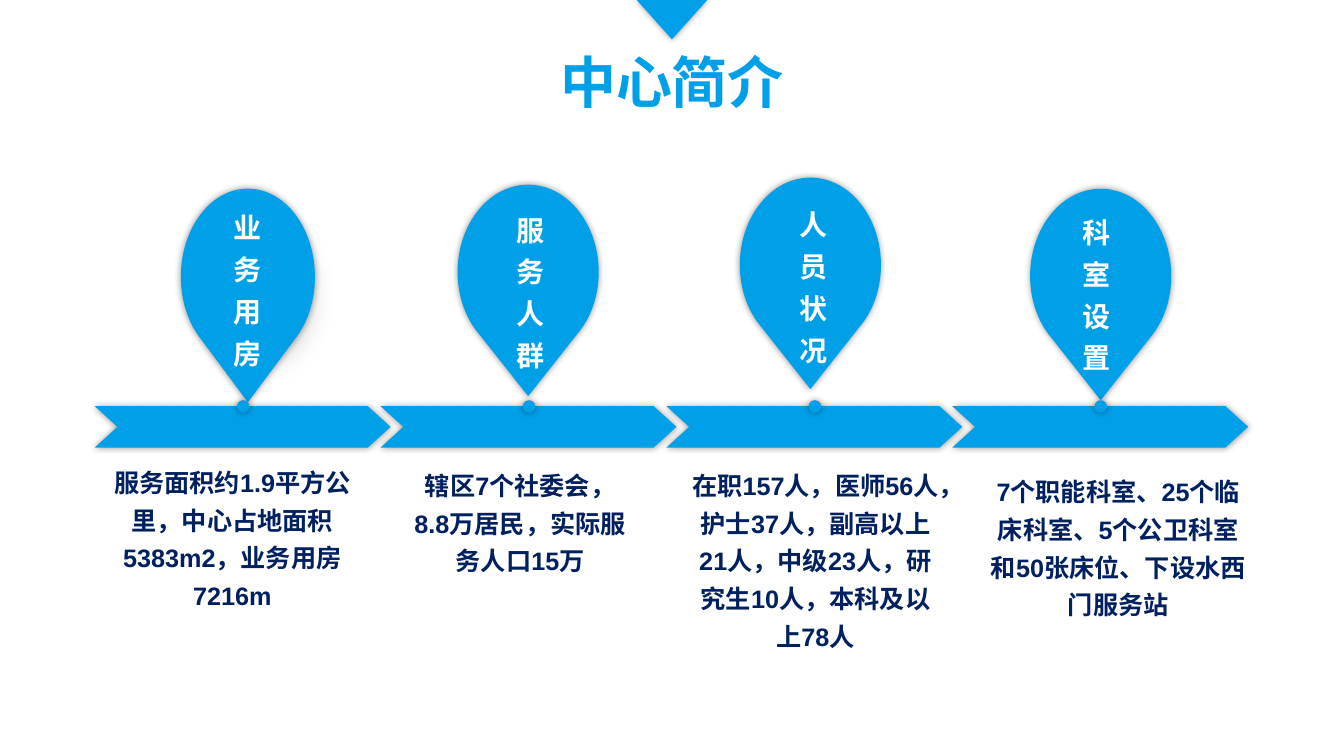
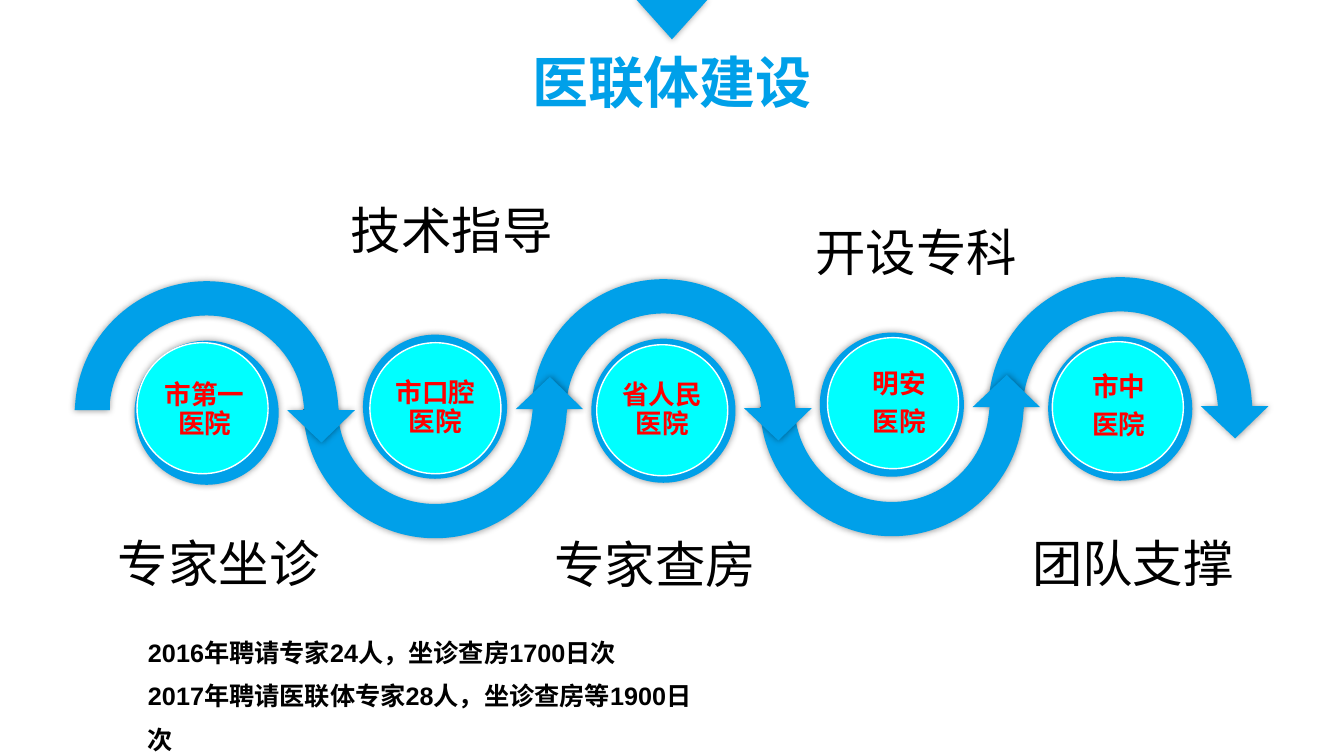
from dataclasses import dataclass
from itertools import chain

from lxml.etree import SubElement
from pptx import Presentation
from pptx.dml.color import RGBColor
from pptx.enum.shapes import MSO_SHAPE as Preset
from pptx.enum.text import MSO_ANCHOR as Anchor, PP_ALIGN as Align
from pptx.oxml.ns import qn
from pptx.util import Inches, Pt

SLIDE_H = Inches(7.5)
SLIDE_W = SLIDE_H * 16 // 9
ROWS = 75
CELL = SLIDE_H / ROWS  # square grid cell; all lengths below count cells
CENTRE = SLIDE_W / CELL / 2


@dataclass(frozen=True)
class Theme:
    """Colours, fonts and type sizes of the deck."""
    blue: str = "00A0E9"
    navy: str = "002060"
    cyan: str = "00FFFF"
    red: str = "FF0000"
    black: str = "000000"
    white: str = "FFFFFF"
    shade: str = "0D0D0D"
    teal: str = "19BAA9"
    cjk: str = "Noto Sans CJK SC"
    title_font: str = "Noto Sans CJK JP"
    body_font: str = "Arial"
    disc_font: str = "Calibri"
    title_size: int = 40
    caption_size: int = 36
    pin_size: int = 20
    disc_size: int = 19
    body_size: int = 18


THEME = Theme()
TITLE = dict(size=THEME.title_size, name=THEME.title_font, bold=True, color=THEME.blue)
PIN_LABEL = dict(size=THEME.pin_size, name=THEME.cjk, bold=True, color=THEME.white)
FACT = dict(size=THEME.body_size, name=THEME.body_font, bold=True, color=THEME.navy)
SUMMARY = dict(FACT, color=THEME.black)
CAPTION = dict(size=THEME.caption_size, name=THEME.cjk, bold=False, color=THEME.black)
HOSPITAL = dict(size=THEME.disc_size, name=THEME.disc_font, bold=True, color=THEME.red)

GLOW = dict(color=THEME.black, alpha=40, blur=5, distance=0, angle=0)
CAST = dict(color=THEME.shade, alpha=20, blur=20, distance=15, angle=59)

# Outlines: a start point, then segments of one point (line) or three (curve)
PIN_START = (4.9, -18.5)
PIN = [
    [(2.2, -21.8), (-2.2, -21.8), (-4.9, -18.5)],
    [(-7.7, -15.1), (-7.7, -9.5), (-4.9, -6.2)],
    [(0, 0)],
    [(4.9, -6.2)],
    [(7.7, -9.5), (7.7, -15.1), PIN_START],
]
WAVE_START = (0, -12.8)
WAVE = [
    [(6.7, -12.8), (12.3, -7.7), (13, -1.1)],
    [(13.1, 0)], [(14.7, 0)], [(11.4, 3.2)], [(8, 0)], [(9.7, 0)], [(9.6, -0.8)],
    [(9.1, -5.6), (5, -9.4), (0, -9.4)],
    [(-5, -9.4), (-9.1, -5.6), (-9.6, -0.8)],
    [(-9.6, 0)], [(-13.1, 0)], [(-13, -1.1)],
    [(-12.3, -7.7), (-6.7, -12.8), WAVE_START],
]

# (tip x, tip y, width factor, height factor, label x, label y, label)
PINS = [
    (24.6, 39.9, 0.95, 1.01, 20.3, 20.1, "业务用房"),
    (52.4, 39.3, 1, 1, 48.3, 20.3, "服务人群"),
    (80.4, 38.6, 1, 1, 76.4, 19.8, "人员状况"),
    (109.2, 39.7, 1, 1, 104.5, 20.5, "科室设置"),
]
# (x, y, width, text)
FACTS = [
    (11.1, 45.6, 23.9, "服务面积约1.9平方公里，中心占地面积5383m2，业务用房7216m"),
    (40.7, 45.9, 21.8, "辖区7个社委会，8.8万居民，实际服务人口15万"),
    (68.4, 45.9, 25, "在职157人，医师56人，护士37人，副高以上21人，中级23人，"
                     "研究生10人，本科及以上78人"),
    (97.8, 46.5, 26.3, "7个职能科室、25个临床科室、5个公卫科室和50张床位、"
                       "下设水西门服务站"),
]
# (disc x, disc y, label x, label y, lines)
HOSPITALS = [
    (13.6, 34, 15.7, 36.1, ["市第一医院"]),
    (36.7, 34, 38.6, 35.9, ["市口腔医院"]),
    (59.2, 34.2, 61.1, 36.1, ["省人民医院"]),
    (82.1, 33.5, 84.6, 35.5, ["明安", "医院"]),
    (104.4, 33.9, 106.4, 35.8, ["市中", "医院"]),
]
# (x, y, text)
SERVICES = [
    (32.9, 19.3, "技术指导"),
    (53.1, 52.4, "专家查房"),
    (79, 21.4, "开设专科"),
    (9.8, 52.3, "专家坐诊"),
    (100.5, 52.3, "团队支撑"),
]
EXPERTS = ["2016年聘请专家24人，坐诊查房1700日次",
           "2017年聘请医联体专家28人，坐诊查房等1900日次"]


def cells(*lengths):
    """Turn grid cells into EMU."""
    return [round(length * CELL) for length in lengths]


def cast_shadow(shape, color, alpha, blur, distance, angle):
    """Give a shape a soft outer shadow."""
    effects = shape._element.spPr.find(qn("a:effectLst"))
    outer = SubElement(effects, qn("a:outerShdw"), blurRad=str(Pt(blur)),
                       dist=str(Pt(distance)), dir=str(angle * 60000),
                       algn="ctr", rotWithShape="0")
    tint = SubElement(outer, qn("a:srgbClr"), val=color)
    SubElement(tint, qn("a:alpha"), val=str(alpha * 1000))


def paint(shape, fill=THEME.blue, outline=None, weight=1, shadow=GLOW):
    """Set fill, outline and shadow of a shape."""
    shape.shadow.inherit = False
    shape.fill.solid()
    shape.fill.fore_color.rgb = RGBColor.from_string(fill)
    if outline:
        shape.line.color.rgb = RGBColor.from_string(outline)
        shape.line.width = Pt(weight)
    else:
        shape.line.fill.background()
    if shadow:
        cast_shadow(shape, **shadow)
    return shape


def add_preset(slide, preset, box, **look):
    """Add a painted preset shape in a box of cells."""
    return paint(slide.shapes.add_shape(preset, *cells(*box)), **look)


def add_outline(slide, start, segments, origin, scale):
    """Add a closed outline of lines and curves, scaled about its origin."""
    def place(point):
        return cells(*(o + p * s for o, p, s in zip(origin, point, scale)))
    builder = slide.shapes.build_freeform(*place(start), scale=1.0)
    builder.add_line_segments([place(p) for p in chain(*segments)], close=True)
    shape = builder.convert_to_shape()
    steps = iter(shape._element.findall(".//" + qn("a:lnTo")))
    for segment in segments:
        first, *others = [next(steps) for _ in segment]
        if others:
            first.tag = qn("a:cubicBezTo")
            for other in others:
                first.append(other[0])
                other.getparent().remove(other)
    return paint(shape)


def add_text(slide, box, lines, style, margins=(1, 0.5), anchor=Anchor.TOP, **spacing):
    """Add a wrapped text box with one paragraph per line."""
    frame = slide.shapes.add_textbox(*cells(*box)).text_frame
    side, edge = cells(*margins)
    layout = dict(word_wrap=True, vertical_anchor=anchor, margin_left=side,
                  margin_right=side, margin_top=edge, margin_bottom=edge)
    for key, value in layout.items():
        setattr(frame, key, value)
    frame.text = "\n".join(lines)
    for paragraph in frame.paragraphs:
        for key, value in {"alignment": Align.CENTER, **spacing}.items():
            setattr(paragraph, key, value)
        for run in paragraph.runs:
            style_run(run, style)


def style_run(run, style):
    """Apply a text style, with a Chinese face for Chinese glyphs."""
    for key in ("name", "bold"):
        setattr(run.font, key, style[key])
    run.font.size = Pt(style["size"])
    run.font.color.rgb = RGBColor.from_string(style["color"])
    face = style["name"] if style["name"] == THEME.title_font else THEME.cjk
    SubElement(run._r.get_or_add_rPr(), qn("a:ea"), typeface=face)


def new_slide(deck, title):
    """Add a blank slide with the top marker and the title."""
    slide = deck.slides.add_slide(deck.slide_layouts[6])
    marker = add_preset(slide, Preset.ISOSCELES_TRIANGLE, (CENTRE - 3.5, 0, 7, 3.9))
    marker.rotation = 180
    add_text(slide, (CENTRE - 30.15, 4.3, 60.3, 7.5), [title], TITLE, (0.7, 0.4))
    return slide


def build_profile(deck):
    """Four pins on a chevron band with facts below."""
    slide = new_slide(deck, "中心简介")
    step = 28.36
    add_preset(slide, Preset.OVAL, (19.8, 20.9, 9.7, 13),
               outline=THEME.teal, weight=2, shadow=CAST)
    for i, (tip_x, tip_y, wide, high, x, y, label) in enumerate(PINS):
        add_outline(slide, PIN_START, PIN, (tip_x, tip_y), (wide, high))
        band = add_preset(slide, Preset.CHEVRON, (9.4 + i * step, 40.3, 29.35, 4.1))
        band.adjustments[0] = 0.55
        add_preset(slide, Preset.OVAL, (23.5 + i * step, 39.7, 1.25, 1.25))
        add_text(slide, (x, y, 8.6, 16.8), label, PIN_LABEL, (0, 0), line_spacing=1.25)
    for x, y, width, fact in FACTS:
        add_text(slide, (x, y, width, 15.1), [fact], FACT, (0, 0), line_spacing=1.25)


def build_alliance(deck):
    """Hospitals along a wave of arrows, with the services they give."""
    slide = new_slide(deck, "医联体建设")
    first, step, ring, disc = 20.5, 22.66, 14.3, 13
    for i in reversed(range(len(HOSPITALS))):
        add_outline(slide, WAVE_START, WAVE, (first + i * step, 40.7 - 0.1 * i),
                    (1, -1 if i % 2 else 1))
    for i in range(len(HOSPITALS)):
        ring_y = 33.8 - 0.1 * i - 0.5 * (i % 2)
        add_preset(slide, Preset.OVAL, (first + i * step - ring / 2, ring_y, ring, ring))
    for x, y, service in SERVICES:
        add_text(slide, (x, y, 23.8, 7.1), [service], CAPTION)
    for x, y, label_x, label_y, name in HOSPITALS:
        add_preset(slide, Preset.OVAL, (x, y, disc, disc),
                   fill=THEME.cyan, outline=THEME.white, shadow=None)
        add_text(slide, (label_x, label_y, 9.2, 9.2), name, HOSPITAL, (0.3, 0.3),
                 Anchor.MIDDLE, line_spacing=0.9, space_after=Pt(6.65))
    add_text(slide, (13.7, 61.4, 57.4, 9.7), EXPERTS, SUMMARY,
             alignment=Align.LEFT, line_spacing=Pt(31))


def main():
    """Build and save the deck."""
    deck = Presentation()
    deck.slide_width, deck.slide_height = SLIDE_W, SLIDE_H
    build_profile(deck)
    build_alliance(deck)
    deck.save("out.pptx")


main()
